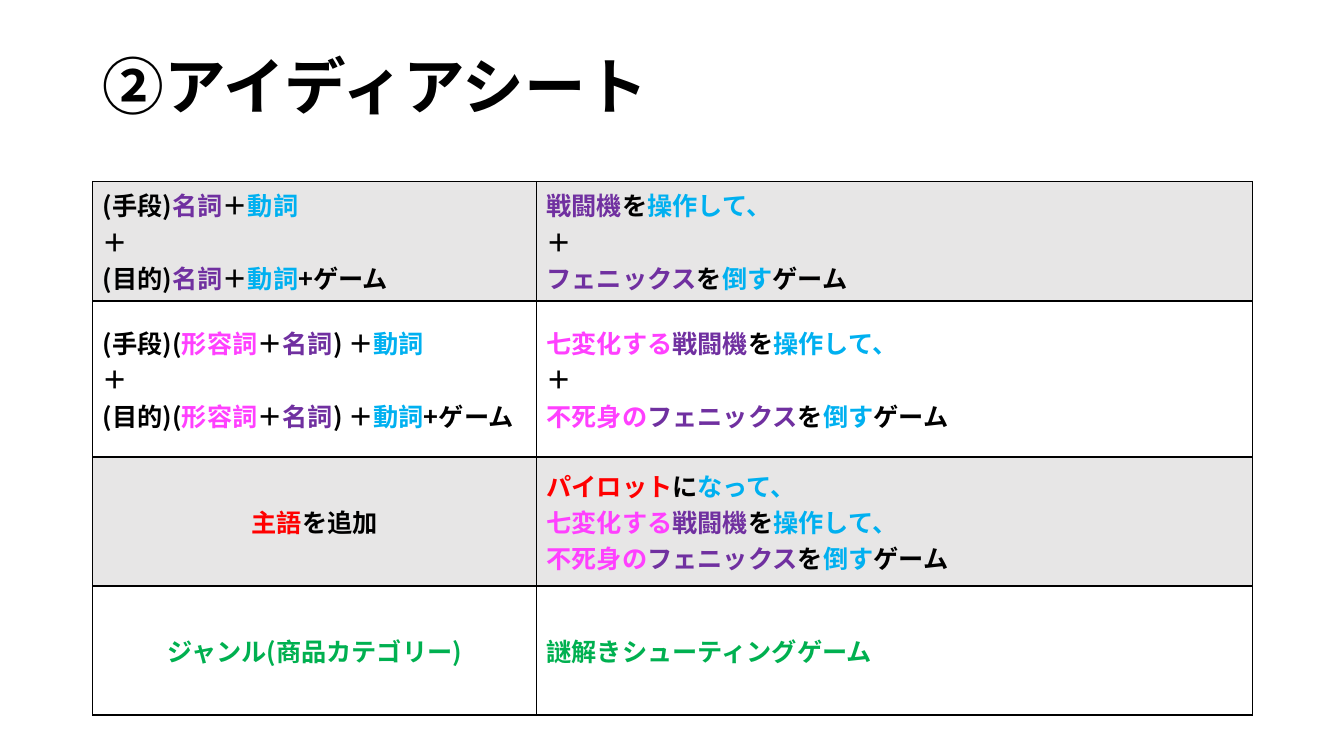
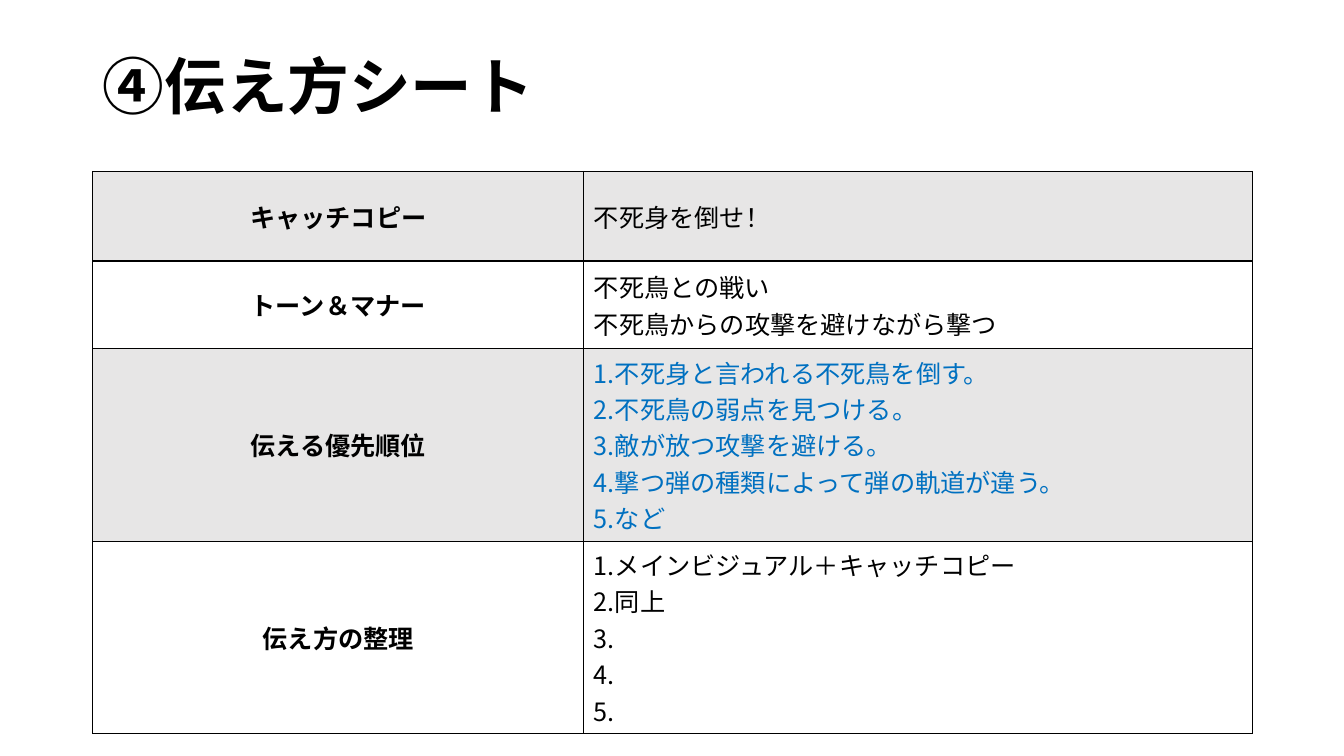
from lxml import etree
from pptx import Presentation
from pptx.dml.color import RGBColor
from pptx.enum.text import MSO_ANCHOR, MSO_AUTO_SIZE, PP_ALIGN
from pptx.oxml.ns import qn
from pptx.util import Inches, Pt

LEFT, CENTER = PP_ALIGN.LEFT, PP_ALIGN.CENTER
MIDDLE = MSO_ANCHOR.MIDDLE
NO_AUTOFIT = MSO_AUTO_SIZE.NONE

FONT = "Noto Sans CJK JP"
TITLE_SIZE, CELL_SIZE = 44, 18
TITLE_ONLY_LAYOUT = 5
MARGIN, CONTENT_WIDTH = 0.92, 11.5
COLORS = {
    "text": "000000",
    "border": "000000",
    "band": "E7E6E6",
    "plain": "FFFFFF",
    "noun": "7030A0",
    "verb": "00B0F0",
    "adjective": "FF40FF",
    "subject": "FF0000",
    "genre": "00B050",
    "priority": "0070C0",
}

# A line is a list of (text, colour name) runs.
NOUN, VERB, ADJECTIVE = ("名詞", "noun"), ("動詞", "verb"), ("形容詞", "adjective")
PLUS, WO, GAME = ("＋", "text"), ("を", "text"), ("ゲーム", "text")
PLUS_GAME, CLOSE_PLUS = ("+ゲーム", "text"), (") ＋", "text")
STEER_FIGHTER = [("戦闘機", "noun"), WO, ("操作して、", "verb")]
BEAT_PHOENIX = [("フェニックス", "noun"), WO, ("倒す", "verb"), GAME]
STEER_CHANGING_FIGHTER = [("七変化する", "adjective"), *STEER_FIGHTER]
BEAT_IMMORTAL_PHOENIX = [("不死身の", "adjective"), *BEAT_PHOENIX]
DETAILED_PHRASE = [ADJECTIVE, PLUS, NOUN, CLOSE_PLUS, VERB]


def plain_lines(*texts, color="text"):
    return [[(text, color)] for text in texts]


def numbered_lines(*texts, color="text"):
    return plain_lines(*(f"{number}.{text}" for number, text in enumerate(texts, 1)), color=color)


# Each row holds the lines of its label cell and of its answer cell.
IDEA_ROWS = [
    (
        [
            [("(手段)", "text"), NOUN, PLUS, VERB],
            [PLUS],
            [("(目的)", "text"), NOUN, PLUS, VERB, PLUS_GAME],
        ],
        [STEER_FIGHTER, [PLUS], BEAT_PHOENIX],
    ),
    (
        [
            [("(手段)(", "text"), *DETAILED_PHRASE],
            [PLUS],
            [("(目的)(", "text"), *DETAILED_PHRASE, PLUS_GAME],
        ],
        [STEER_CHANGING_FIGHTER, [PLUS], BEAT_IMMORTAL_PHOENIX],
    ),
    (
        [[("主語", "subject"), ("を追加", "text")]],
        [
            [("パイロット", "subject"), ("に", "text"), ("なって、", "verb")],
            STEER_CHANGING_FIGHTER,
            BEAT_IMMORTAL_PHOENIX,
        ],
    ),
    (
        plain_lines("ジャンル(商品カテゴリー)", color="genre"),
        plain_lines("謎解きシューティングゲーム", color="genre"),
    ),
]

MESSAGE_ROWS = [
    (plain_lines("キャッチコピー"), plain_lines("不死身を倒せ！")),
    (
        plain_lines("トーン＆マナー"),
        plain_lines("不死鳥との戦い", "不死鳥からの攻撃を避けながら撃つ"),
    ),
    (
        plain_lines("伝える優先順位"),
        numbered_lines(
            "不死身と言われる不死鳥を倒す。",
            "不死鳥の弱点を見つける。",
            "敵が放つ攻撃を避ける。",
            "撃つ弾の種類によって弾の軌道が違う。",
            "など",
            color="priority",
        ),
    ),
    (
        plain_lines("伝え方の整理"),
        numbered_lines("メインビジュアル＋キャッチコピー", "同上", "", "", ""),
    ),
]


def rgb(name):
    return RGBColor.from_string(COLORS[name])


def add_run(paragraph, text, size, color, bold):
    run = paragraph.add_run()
    run.text = text
    font = run.font
    font.name, font.size, font.bold = FONT, Pt(size), bold
    font.color.rgb = rgb(color)
    east_asian = etree.SubElement(run._r.get_or_add_rPr(), qn("a:ea"))
    east_asian.set("typeface", FONT)


def add_titled_slide(presentation, title):
    slide = presentation.slides.add_slide(presentation.slide_layouts[TITLE_ONLY_LAYOUT])
    shape = slide.shapes.title
    shape.left, shape.top = Inches(MARGIN), Inches(0.44)
    shape.width, shape.height = Inches(CONTENT_WIDTH), Inches(0.89)
    frame = shape.text_frame
    frame.word_wrap = True
    frame.auto_size = NO_AUTOFIT
    frame.vertical_anchor = MIDDLE
    paragraph = frame.paragraphs[0]
    paragraph.alignment = LEFT
    paragraph.line_spacing = 0.9
    add_run(paragraph, title, TITLE_SIZE, "text", True)
    return slide


def set_borders(cell):
    properties = cell._tc.get_or_add_tcPr()
    for side in ("lnL", "lnR", "lnT", "lnB"):
        line = etree.SubElement(properties, qn(f"a:{side}"), w=str(Pt(1)))
        fill = etree.SubElement(line, qn("a:solidFill"))
        etree.SubElement(fill, qn("a:srgbClr"), val=COLORS["border"])


def fill_cell(cell, lines, alignment, bold, background):
    set_borders(cell)
    cell.fill.solid()
    cell.fill.fore_color.rgb = rgb(background)
    cell.vertical_anchor = MIDDLE
    frame = cell.text_frame
    for index, line in enumerate(lines):
        paragraph = frame.add_paragraph() if index else frame.paragraphs[0]
        paragraph.alignment = alignment
        for text, color in line:
            add_run(paragraph, text, CELL_SIZE, color, bold)


def add_sheet_table(slide, top, label_width, row_heights, rows, bold_answers):
    """Add a two-column table; one-line labels are centred, longer ones start at the left."""
    table = slide.shapes.add_table(
        len(rows), 2, Inches(MARGIN), Inches(top), Inches(CONTENT_WIDTH), Inches(sum(row_heights))
    ).table
    table.first_row = table.horz_banding = False
    table.columns[0].width = Inches(label_width)
    table.columns[1].width = Inches(CONTENT_WIDTH - label_width)
    for index, (height, (label, answer)) in enumerate(zip(row_heights, rows)):
        table.rows[index].height = Inches(height)
        background = "plain" if index % 2 else "band"
        label_alignment = CENTER if len(label) == 1 else LEFT
        fill_cell(table.cell(index, 0), label, label_alignment, True, background)
        fill_cell(table.cell(index, 1), answer, LEFT, bold_answers, background)


def main():
    presentation = Presentation()
    presentation.slide_width, presentation.slide_height = Inches(13.33), Inches(7.5)

    idea_slide = add_titled_slide(presentation, "②アイディアシート")
    add_sheet_table(idea_slide, 1.8, 4.4, [0.98, 1.28, 1.28, 1.28], IDEA_ROWS, True)

    message_slide = add_titled_slide(presentation, "④伝え方シート")
    add_sheet_table(message_slide, 1.7, 4.87, [0.89, 0.87, 1.28, 1.28], MESSAGE_ROWS, False)

    presentation.save("out.pptx")


if __name__ == "__main__":
    main()
